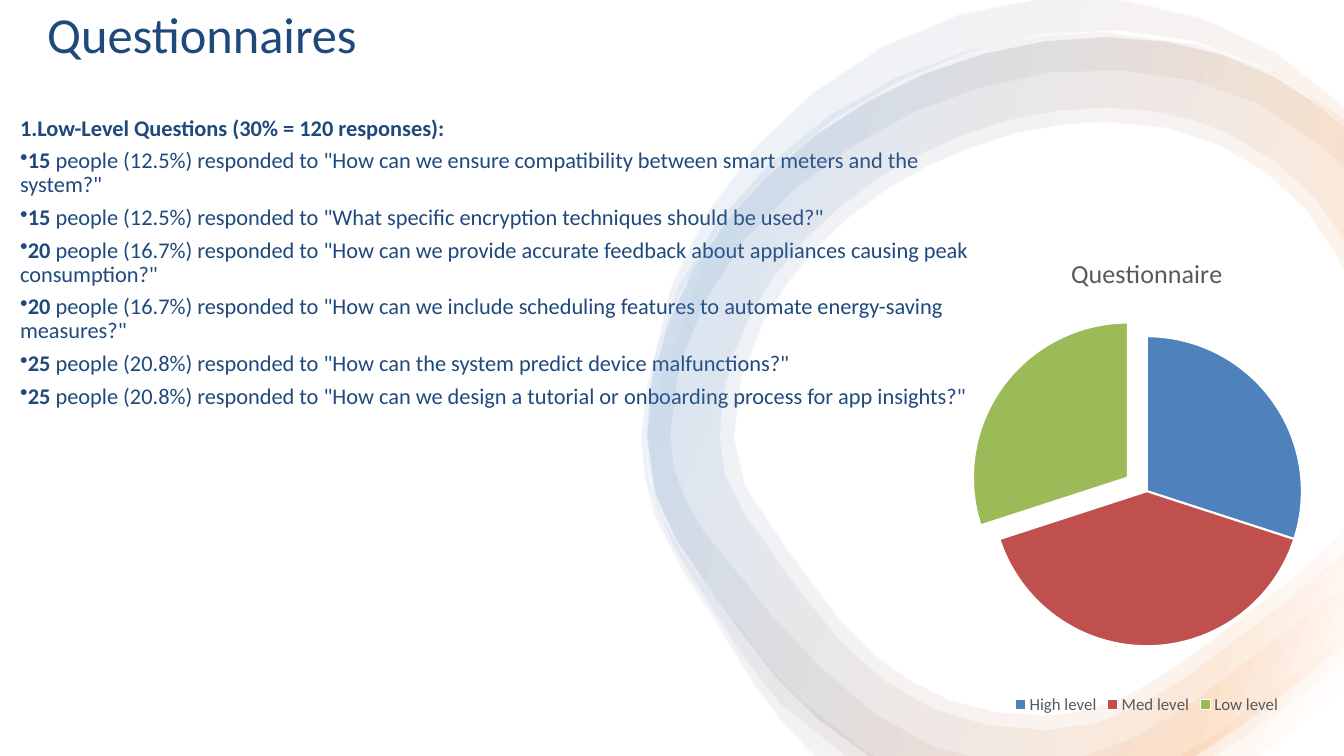
import dataclasses
import math

import lxml.etree
import pptx
import pptx.chart.data
import pptx.dml.color
import pptx.enum.chart
import pptx.enum.shapes
import pptx.enum.text
import pptx.oxml
import pptx.oxml.ns
import pptx.util

PX = 9144
SLIDE_SIZE = (1333, 750)
CURVE_STEP = 60


@dataclasses.dataclass(frozen=True)
class Theme:
    font: str = "Calibri"
    white: str = "FFFFFF"
    navy: str = "1F497D"
    grey: str = "595959"
    slices: tuple = ("4F81BD", "C0504D", "9BBB59")
    ribbon_stops: tuple = ((2, "FFFFFF"), (16, "F79646"), (85, "4F81BD"), (100, "FFFFFF"))
    ribbon_opacity: int = 10
    ribbon_angle: int = 200
    heading_size: float = 36
    body_size: float = 16
    chart_title_size: float = 18.6
    legend_size: float = 12


THEME = Theme()

HALO_CORNER = "L1333 629 1333 681 1288 719 1249 750 1170 750 1199 732 1261 686 1323 638"
HALO_ARC = """L1071 -2 1112 1 1192 19 1265 53 1328 103 1333 109 1333 128
1318 113 1288 89 1256 69 1185 42 1110 31 1034 35 961 52 892 81 827 119
768 167 716 223 676 288 661 323 650 360 641 436 644 474 656 511 674 544 697 576
733 622 769 668 795 695 853 741 868 750 808 750 774 714 750 682 729 648
709 615 677 566 650 513 640 475 636 436 642 384 666 284 701 213 748 148
806 93 874 48 950 16 1030 0"""
BAND_CORNER = """L1333 582 1333 656 1276 700 1230 733 1203 750 1073 750 1123 732
1182 697 1239 653 1297 609"""
BAND_ARC = """L1094 32 1190 45 1263 72 1327 115 1333 121 1333 167
1305 141 1247 103 1181 80 1111 70 1041 72 972 87 905 112 844 146 787 188
738 239 700 298 674 363 665 432 669 466 681 497 698 527 744 583
766 611 814 662 865 706 924 740 962 750 840 750 837 748
775 699 751 669 729 638 689 576 670 544 654 508 644 470 641 432 649 357 673 285
712 220 763 163 822 115 889 77 961 50 1036 35"""
RING_TOP = "L1096 37C1180 37 1251 62 1307 105L1333 127"
RING_BOTTOM = """L1333 641 1301 666C1289 675 1277 684 1266 693 1240 713 1214 732 1188 748
L1185 750 862 750 859 748C810 719 769 676 732 623 688 559 642 516 642 434
642 215 871 37 1096 37"""
WIDE_HOLE = """L1333 241 1321 222C1316 213 1310 206 1304 198 1279 170 1250 147 1216 132
1180 116 1140 107 1096 107 1049 107 1002 116 956 134 910 151 867 176 831 207
794 238 765 273 745 312 724 351 714 392 714 434 714 476 730 500 765 547
774 559 783 570 791 583 860 682 933 724 1036 724 1104 724 1153 690 1221 637
1229 632 1237 626 1244 620 1274 598 1303 576 1326 553L1333 545"""
NARROW_HOLE = """L1333 272 1325 254C1315 237 1305 221 1293 207 1269 180 1242 159 1210 145
1176 129 1138 121 1096 121 1052 121 1005 130 961 147 917 163 875 188 840 217
805 247 777 282 758 318 738 355 728 394 728 434 728 471 743 493 777 539
785 550 794 562 803 575 835 622 868 655 904 676 941 699 985 710 1036 710
1065 710 1092 703 1121 688 1151 673 1180 651 1213 626 1220 621 1228 615 1235 609
1270 583 1302 558 1326 533L1333 524"""
RIBBONS = (
    (HALO_CORNER, HALO_ARC),
    (BAND_CORNER, BAND_ARC),
    (RING_TOP + WIDE_HOLE + RING_BOTTOM,),
    (RING_TOP + NARROW_HOLE + RING_BOTTOM,),
)

QUESTIONS_HEADING = "Low-Level Questions (30% = 120 responses):"
RESPONSES = (
    (15, "12.5%", "How can we ensure compatibility between smart meters and the system?"),
    (15, "12.5%", "What specific encryption techniques should be used?"),
    (20, "16.7%", "How can we provide accurate feedback about appliances causing peak consumption?"),
    (20, "16.7%", "How can we include scheduling features to automate energy-saving measures?"),
    (25, "20.8%", "How can the system predict device malfunctions?"),
    (25, "20.8%", "How can we design a tutorial or onboarding process for app insights?"),
)
LEVELS = {"High level": 30, "Med level": 40, "Low level": 30}


def emu(*lengths):
    return [pptx.util.Emu(round(length * PX)) for length in lengths]


def rgb(value):
    return pptx.dml.color.RGBColor.from_string(value)


def style_font(font, size, color):
    font.name = THEME.font
    font.size = pptx.util.Pt(size)
    font.color.rgb = rgb(color)


def bezier(start, bend_out, bend_in, end):
    steps = math.ceil(math.dist(start, end) / CURVE_STEP)
    for step in range(1, steps + 1):
        t = step / steps
        weights = ((1 - t) ** 3, 3 * t * (1 - t) ** 2, 3 * t * t * (1 - t), t ** 3)
        yield tuple(
            sum(weight * value for weight, value in zip(weights, axis))
            for axis in zip(start, bend_out, bend_in, end)
        )


def trace(outline):
    points = []
    for stretch in outline.replace("L", "|L").replace("C", "|C").split("|")[1:]:
        numbers = [int(number) for number in stretch[1:].split()]
        pairs = list(zip(numbers[::2], numbers[1::2]))
        if stretch[0] == "L":
            points += pairs
        else:
            for first in range(0, len(pairs), 3):
                points += bezier(points[-1], *pairs[first:first + 3])
    return [tuple(emu(*point)) for point in points]


def add_ribbon(slide, outlines):
    contours = [trace(outline) for outline in outlines]
    builder = slide.shapes.build_freeform(*contours[0][0])
    for contour in contours:
        if contour is not contours[0]:
            builder.move_to(*contour[0])
        builder.add_line_segments(contour[1:], close=True)
    ribbon = builder.convert_to_shape()
    ribbon.shadow.inherit = False
    ribbon.line.fill.background()
    stops = "".join(
        f'<a:gs pos="{place * 1000}"><a:srgbClr val="{color}">'
        f'<a:alpha val="{THEME.ribbon_opacity * 1000}"/></a:srgbClr></a:gs>'
        for place, color in THEME.ribbon_stops
    )
    gradient = pptx.oxml.parse_xml(
        f'<a:gradFill {pptx.oxml.ns.nsdecls("a")} rotWithShape="1"><a:gsLst>{stops}</a:gsLst>'
        f'<a:lin ang="{THEME.ribbon_angle * 60000}" scaled="0"/></a:gradFill>'
    )
    ribbon._element.spPr.find(pptx.oxml.ns.qn("a:custGeom")).addnext(gradient)


def add_backdrop(slide):
    backdrop = slide.shapes.add_shape(
        pptx.enum.shapes.MSO_SHAPE.RECTANGLE, *emu(0, 0, *SLIDE_SIZE)
    )
    backdrop.shadow.inherit = False
    backdrop.fill.solid()
    backdrop.fill.fore_color.rgb = rgb(THEME.white)
    backdrop.line.fill.background()


def add_text_frame(slide, box):
    frame = slide.shapes.add_textbox(*emu(*box)).text_frame
    frame.word_wrap = True
    return frame


def style_paragraph(paragraph, size):
    paragraph.line_spacing = 0.9
    paragraph.space_after = pptx.util.Pt(6)
    style_font(paragraph.font, size, THEME.navy)


def add_run(paragraph, text, bold):
    run = paragraph.add_run()
    run.text = text
    run.font.bold = bold


def set_bullet(paragraph, margin, indent, tag, **attributes):
    properties = paragraph._p.get_or_add_pPr()
    properties.set("marL", str(margin * PX))
    properties.set("indent", str(indent * PX))
    lxml.etree.SubElement(properties, pptx.oxml.ns.qn(tag), attributes)


def add_heading(slide):
    frame = add_text_frame(slide, (37, 1, 343, 72))
    frame.vertical_anchor = pptx.enum.text.MSO_ANCHOR.MIDDLE
    heading = frame.paragraphs[0]
    heading.text = "Questionnaires"
    style_paragraph(heading, THEME.heading_size)


def add_responses(slide):
    frame = add_text_frame(slide, (10, 111, 975, 425))
    heading = frame.paragraphs[0]
    set_bullet(heading, 12, -38, "a:buAutoNum", type="arabicPeriod")
    style_paragraph(heading, THEME.body_size)
    add_run(heading, QUESTIONS_HEADING, True)
    for people, share, question in RESPONSES:
        response = frame.add_paragraph()
        set_bullet(response, 0, -25, "a:buChar", char="•")
        style_paragraph(response, THEME.body_size)
        add_run(response, str(people), True)
        add_run(response, f' people ({share}) responded to "{question}"', False)


def add_level_pie(slide):
    levels = pptx.chart.data.CategoryChartData()
    levels.categories = list(LEVELS)
    levels.add_series("Questionnaire", list(LEVELS.values()))
    chart = slide.shapes.add_chart(
        pptx.enum.chart.XL_CHART_TYPE.PIE, *emu(911, 234, 453, 479), levels
    ).chart
    chart.font.name = THEME.font
    chart.font.size = pptx.util.Pt(10)
    chart.has_title = True
    title = chart.chart_title.text_frame.paragraphs[0]
    title.text = "Questionnaire"
    style_font(title.font, THEME.chart_title_size, THEME.grey)
    title.font.bold = False
    chart.has_legend = True
    chart.legend.position = pptx.enum.chart.XL_LEGEND_POSITION.BOTTOM
    chart.legend.include_in_layout = False
    style_font(chart.legend.font, THEME.legend_size, THEME.grey)
    plot = chart.plots[0]
    plot.vary_by_categories = True
    for index, color in enumerate(THEME.slices):
        level = plot.series[0].points[index].format
        level.fill.solid()
        level.fill.fore_color.rgb = rgb(color)
        level.line.color.rgb = rgb(THEME.white)
        level.line.width = pptx.util.Pt(1.5)
    low_level = plot.series[0]._element.findall(pptx.oxml.ns.qn("c:dPt"))[-1]
    low_level.find(pptx.oxml.ns.qn("c:spPr")).addprevious(
        pptx.oxml.parse_xml(f'<c:explosion {pptx.oxml.ns.nsdecls("c")} val="15"/>')
    )


def main():
    deck = pptx.Presentation()
    deck.slide_width, deck.slide_height = emu(*SLIDE_SIZE)
    slide = deck.slides.add_slide(deck.slide_layouts[6])
    add_backdrop(slide)
    add_heading(slide)
    add_responses(slide)
    for outlines in RIBBONS:
        add_ribbon(slide, outlines)
    add_level_pie(slide)
    deck.save("out.pptx")


if __name__ == "__main__":
    main()
